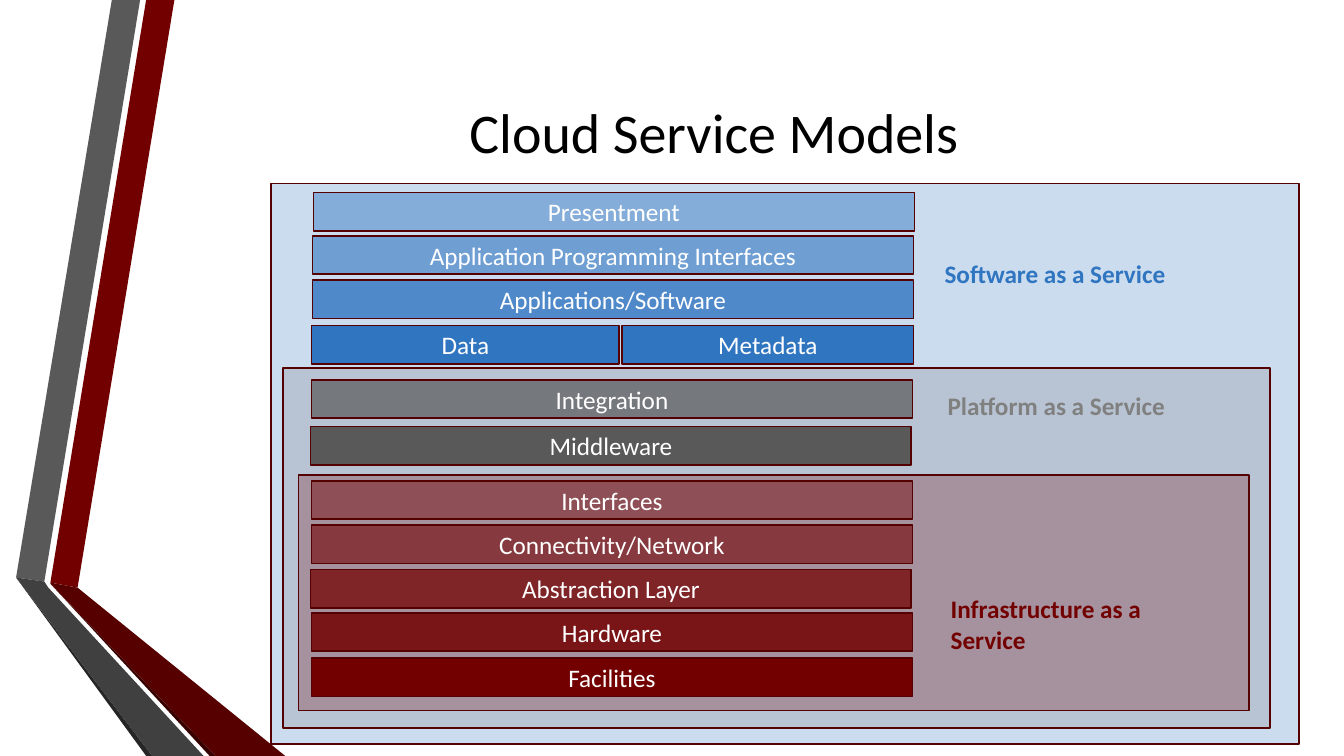
from dataclasses import dataclass
from lxml.etree import SubElement
from pptx import Presentation
from pptx.dml.color import RGBColor
from pptx.enum.shapes import MSO_SHAPE
from pptx.enum.text import MSO_ANCHOR, PP_ALIGN
from pptx.oxml.ns import qn
from pptx.util import Inches, Pt


@dataclass(frozen=True)
class Theme:
    font: str = "Calibri"
    title_size: int = 40
    body_size: int = 18
    outline_width: float = 1.25
    black: str = "000000"
    white: str = "FFFFFF"
    outline: str = "540000"
    software: str = "3075C0"
    platform: str = "808080"
    middleware: str = "595959"
    infrastructure: str = "720000"
    gray_fold: str = "404040"
    gray_edge: str = "262626"
    red_fold: str = "560000"
    red_edge: str = "390000"


class SlideBuilder:
    def __init__(self, slide, theme):
        self.slide = slide
        self.theme = theme

    def fill(self, shape, color, opacity=100):
        shape.shadow.inherit = False
        shape.fill.solid()
        shape.fill.fore_color.rgb = RGBColor.from_string(color)
        if opacity < 100:
            color_element = shape.element.spPr.find(qn("a:solidFill"))[0]
            SubElement(color_element, qn("a:alpha"), val=str(opacity * 1000))

    def set_text(self, shape, text, color, size, align, anchor, bold=False):
        frame = shape.text_frame
        frame.word_wrap = True
        frame.vertical_anchor = anchor
        paragraph = frame.paragraphs[0]
        paragraph.text = text
        paragraph.alignment = align
        paragraph.font.name = self.theme.font
        paragraph.font.size = Pt(size)
        paragraph.font.bold = bold
        paragraph.font.color.rgb = RGBColor.from_string(color)

    def ribbon(self, color, points):
        corners = [(Inches(x), Inches(y)) for x, y in points]
        builder = self.slide.shapes.build_freeform(*corners[0])
        builder.add_line_segments(corners[1:], close=True)
        shape = builder.convert_to_shape()
        self.fill(shape, color)
        shape.line.fill.background()

    def box(self, left, top, width, height, color, opacity):
        shape = self.slide.shapes.add_shape(
            MSO_SHAPE.RECTANGLE, Inches(left), Inches(top), Inches(width), Inches(height))
        self.fill(shape, color, opacity)
        shape.line.color.rgb = RGBColor.from_string(self.theme.outline)
        shape.line.width = Pt(self.theme.outline_width)
        return shape

    def layer(self, text, left, top, color, opacity=100, width=5.96):
        shape = self.box(left, top, width, 0.38, color, opacity)
        self.set_text(shape, text, self.theme.white, self.theme.body_size,
                      PP_ALIGN.CENTER, MSO_ANCHOR.MIDDLE)

    def text_box(self, left, top, width, height):
        return self.slide.shapes.add_textbox(
            Inches(left), Inches(top), Inches(width), Inches(height))

    def title(self, text):
        self.set_text(self.text_box(1.6, 0.34, 10.96, 1.92), text, self.theme.black,
                      self.theme.title_size, PP_ALIGN.CENTER, MSO_ANCHOR.MIDDLE)

    def label(self, text, left, top, height, color):
        self.set_text(self.text_box(left, top, 2.81, height), text, color,
                      self.theme.body_size, PP_ALIGN.LEFT, MSO_ANCHOR.TOP, bold=True)


def main():
    presentation = Presentation()
    presentation.slide_width = Inches(13.33)
    presentation.slide_height = Inches(7.5)
    theme = Theme()
    slide = presentation.slides.add_slide(presentation.slide_layouts[6])
    builder = SlideBuilder(slide, theme)

    ribbons = [
        (theme.infrastructure, [(0.5, 5.78), (0.77, 5.83), (1.73, 0), (1.45, 0)]),
        (theme.middleware, [(1.39, 0), (1.11, 0), (0.16, 5.73), (0.44, 5.77)]),
        (theme.gray_edge, [(0.16, 5.73), (1.45, 7.5), (1.51, 7.5)]),
        (theme.red_edge, [(0.5, 5.79), (2.08, 7.5), (2.14, 7.5)]),
        (theme.red_fold, [(0.5, 5.78), (0.5, 5.79), (2.14, 7.5), (2.83, 7.5), (0.77, 5.83)]),
        (theme.gray_fold, [(2.02, 7.5), (0.48, 5.83), (0.44, 5.77), (0.16, 5.73), (1.51, 7.5)]),
    ]
    for color, points in ribbons:
        builder.ribbon(color, points)

    builder.title("Cloud Service Models")

    builder.box(2.69, 1.82, 10.19, 5.56, theme.software, 25)
    builder.box(2.81, 3.65, 9.79, 3.57, theme.platform, 25)
    builder.box(2.96, 4.71, 9.43, 2.34, theme.infrastructure, 25)

    layers = [
        ("Presentment", 3.11, 1.91, theme.software, 45),
        ("Application Programming Interfaces", 3.1, 2.34, theme.software, 60),
        ("Applications/Software", 3.1, 2.78, theme.software, 80),
        ("Data", 3.09, 3.23, theme.software, 100, 3.05),
        ("Metadata", 6.17, 3.23, theme.software, 100, 2.89),
        ("Integration", 3.09, 3.77, theme.middleware, 70),
        ("Middleware", 3.08, 4.23, theme.middleware),
        ("Interfaces", 3.09, 4.77, theme.infrastructure, 45),
        ("Connectivity/Network", 3.09, 5.21, theme.infrastructure, 60),
        ("Abstraction Layer", 3.08, 5.65, theme.infrastructure, 75),
        ("Hardware", 3.09, 6.08, theme.infrastructure, 85),
        ("Facilities", 3.09, 6.53, theme.infrastructure),
    ]
    for layer in layers:
        builder.layer(*layer)

    builder.label("Software as a Service", 9.27, 2.51, 0.4, theme.software)
    builder.label("Platform as a Service", 9.3, 3.82, 0.4, theme.platform)
    builder.label("Infrastructure as a Service", 9.33, 5.84, 0.71, theme.infrastructure)

    presentation.save("out.pptx")


if __name__ == "__main__":
    main()
